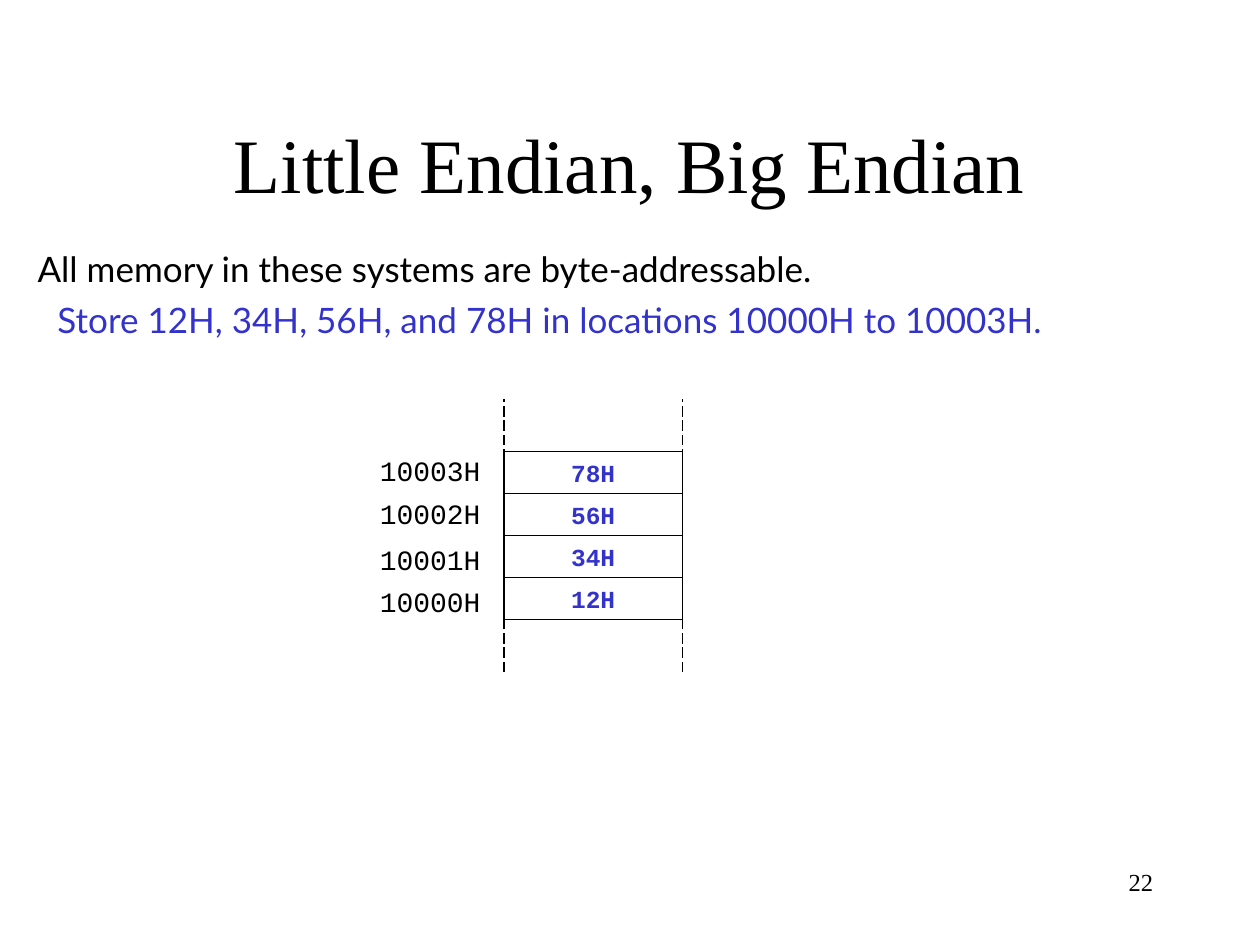
from dataclasses import dataclass, field

from lxml import etree
from pptx import Presentation
from pptx import util as u
from pptx.dml.color import RGBColor
from pptx.enum import dml, shapes, text
from pptx.oxml.ns import qn

COLORS = {"ink": "000000", "blue": "3333CC"}
COLUMNS, ROWS = 120, 90  # grid of the slide, one twelfth of an inch each
MEMORY_LEFT, MEMORY_TOP, CELL_WIDTH, CELL_HEIGHT = 48, 43, 17, 4
RAIL_TOP, RAIL_BOTTOM = 38, 64
LABEL_LEFT, LABEL_WIDTH, LABEL_HEIGHT = 35, 12, 4.4

deck = Presentation()
deck.slide_width, deck.slide_height = u.Inches(10), u.Inches(7.5)


@dataclass
class Style:
    font: dict
    color: str = "ink"
    align: text.PP_ALIGN = text.PP_ALIGN.LEFT
    frame: dict = field(default_factory=lambda: {"word_wrap": True})


@dataclass
class Label:
    words: str
    left: float
    top: float
    width: float
    height: float
    style: Style


@dataclass
class Byte:
    address: str
    value: str
    label_top: float


CENTERED = {"word_wrap": True, "vertical_anchor": text.MSO_ANCHOR.MIDDLE}
GROWING = {"word_wrap": False, "auto_size": text.MSO_AUTO_SIZE.SHAPE_TO_FIT_TEXT}

TITLE = Style({"name": "Times New Roman", "size": u.Pt(44)},
              align=text.PP_ALIGN.CENTER, frame=CENTERED)
BODY = Style({"name": "Lato", "size": u.Pt(20)}, frame=GROWING)
EXAMPLE = Style(BODY.font, "blue", frame=GROWING)
ADDRESS = Style({"name": "Courier New", "size": u.Pt(16)}, frame=GROWING)
VALUE = Style({"name": "Courier New", "size": u.Pt(14), "bold": True},
              "blue", text.PP_ALIGN.CENTER, CENTERED)
NUMBER = Style({"name": "Times New Roman", "size": u.Pt(14)}, align=text.PP_ALIGN.RIGHT)

LABELS = [
    Label("Little Endian, Big Endian", 9, 8, 102, 15, TITLE),
    Label("All memory in these systems are byte-addressable.",
          2.4, 23, 82.8, 5.25, BODY),
    Label("Store 12H, 34H, 56H, and 78H in locations 10000H to 10003H.",
          4.3, 27.85, 98.4, 5.25, EXAMPLE),
    Label("22", 86, 82, 25, 6, NUMBER),
]
MEMORY = [
    Byte("10003H", "78H", 42.6),
    Byte("10002H", "56H", 46.7),
    Byte("10001H", "34H", 51.1),
    Byte("10000H", "12H", 55.1),
]


def across(columns: float) -> int:
    return round(deck.slide_width * columns / COLUMNS)


def down(rows: float) -> int:
    return round(deck.slide_height * rows / ROWS)


def area(left: float, top: float, width: float, height: float) -> tuple:
    return across(left), down(top), across(width), down(height)


def color(name: str) -> RGBColor:
    return RGBColor.from_string(COLORS[name])


def set_all(target, values: dict) -> None:
    for name, value in values.items():
        setattr(target, name, value)


def write(frame, words: str, style: Style) -> None:
    set_all(frame, style.frame)
    para = frame.paragraphs[0]
    para.alignment = style.align
    span = para.add_run()
    span.text = words
    set_all(span.font, style.font)
    span.font.color.rgb = color(style.color)


def draw_label(page, label: Label) -> None:
    box = page.shapes.add_textbox(*area(label.left, label.top, label.width, label.height))
    write(box.text_frame, label.words, label.style)


def outline(line) -> None:
    line.color.rgb = color("ink")
    line.width = u.Pt(0.75)


def draw_rail(page, column: float) -> None:
    """Draw a dashed edge that shows memory going on above and below."""
    rail = page.shapes.add_connector(
        shapes.MSO_CONNECTOR.STRAIGHT,
        across(column), down(RAIL_BOTTOM), across(column), down(RAIL_TOP))
    outline(rail.line)
    rail.line.dash_style = dml.MSO_LINE.LONG_DASH
    etree.SubElement(rail._element.spPr, qn("a:effectLst"))


def draw_byte(page, index: int, byte: Byte) -> None:
    cell = page.shapes.add_shape(
        shapes.MSO_SHAPE.RECTANGLE,
        *area(MEMORY_LEFT, MEMORY_TOP + index * CELL_HEIGHT, CELL_WIDTH, CELL_HEIGHT))
    cell.shadow.inherit = False
    cell.fill.background()
    outline(cell.line)
    write(cell.text_frame, byte.value, VALUE)
    draw_label(page, Label(byte.address, LABEL_LEFT, byte.label_top,
                           LABEL_WIDTH, LABEL_HEIGHT, ADDRESS))


def main() -> None:
    page = deck.slides.add_slide(deck.slide_layouts[6])
    for label in LABELS:
        draw_label(page, label)
    for column in (MEMORY_LEFT + CELL_WIDTH, MEMORY_LEFT):
        draw_rail(page, column)
    for index, byte in enumerate(MEMORY):
        draw_byte(page, index, byte)
    deck.save("out.pptx")


if __name__ == "__main__":
    main()
